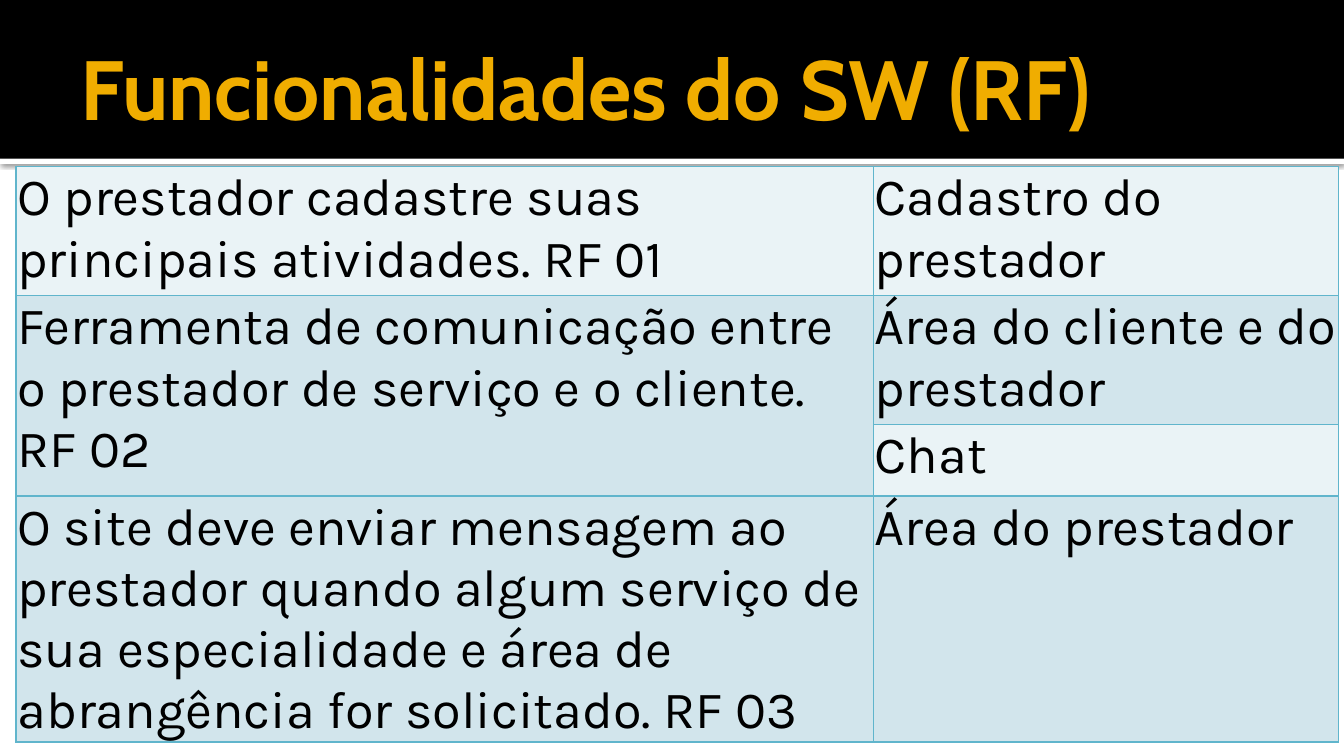
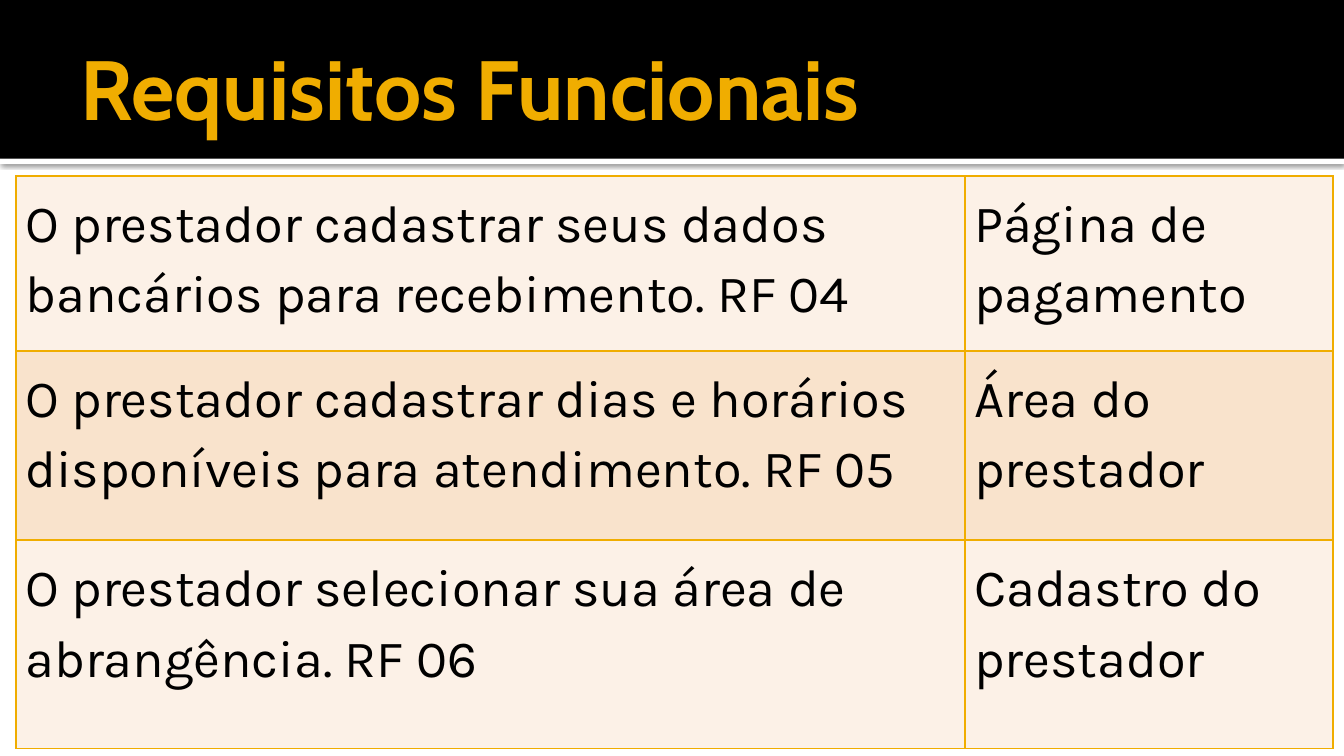
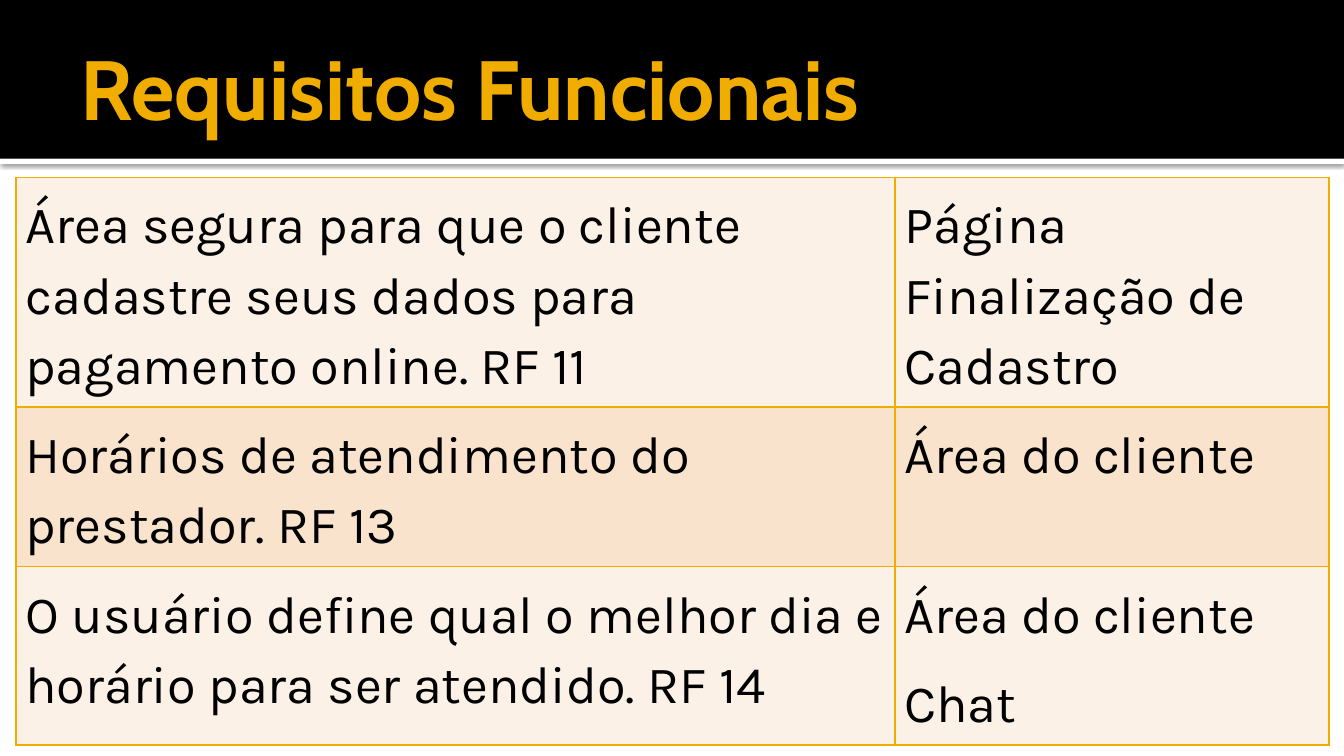
"""Builds three slides that list the functional requirements of a service site."""
from dataclasses import dataclass

from lxml import etree
from pptx import Presentation
from pptx.dml.color import RGBColor
from pptx.enum.shapes import MSO_SHAPE
from pptx.enum.text import MSO_ANCHOR, MSO_AUTO_SIZE, PP_ALIGN
from pptx.oxml.ns import qn
from pptx.util import Inches, Pt

RECTANGLE = MSO_SHAPE.RECTANGLE
MIDDLE, TOP = MSO_ANCHOR.MIDDLE, MSO_ANCHOR.TOP
LEFT = PP_ALIGN.LEFT
NO_AUTOFIT = MSO_AUTO_SIZE.NONE

TITLE_FONT, BODY_FONT = "Cabin", "Karla"
BLACK, WHITE, AMBER = "000000", "FFFFFF", "F0AD00"
TITLE_ONLY_LAYOUT = 5
SLIDE_WIDTH = 10
SLIDE_HEIGHT = SLIDE_WIDTH * 9 / 16
HEADER_HEIGHT, RULE_HEIGHT = 1.18, 0.04
TABLE_LEFT = 0.12


@dataclass(frozen=True)
class TableStyle:
    border: str
    fills: tuple[str, str]
    margins: tuple[float, float, float, float]
    line_spacing: float = 1.0
    space_after: float = 0


@dataclass(frozen=True)
class RequirementPage:
    title: str
    style: TableStyle
    top: float
    columns: tuple[float, ...]
    heights: tuple[float, ...]
    rows: tuple[tuple[str | None, str], ...]


BLUE_STYLE = TableStyle("60B5CC", ("EAF3F6", "D2E5EC"), (0.01, 0.01, 0.01, 0))
AMBER_STYLE = TableStyle(AMBER, ("FCF1E7", "F9E3CC"), (0.07,) * 4, 1.15, 10)

PAGES = (
    RequirementPage(
        "Funcionalidades do SW (RF)", BLUE_STYLE, 1.24,
        (6.38, 3.46), (0.96, 0.96, 0.53, 1.43),
        (
            ("O prestador cadastre suas principais atividades. RF 01",
             "Cadastro do prestador"),
            ("Ferramenta de comunicação entre o prestador de serviço e o cliente. RF 02",
             "Área do cliente e do prestador"),
            (None, "Chat"),
            ("O site deve enviar mensagem ao prestador quando algum serviço de sua "
             "especialidade e área de abrangência for solicitado. RF 03",
             "Área do prestador"),
        ),
    ),
    RequirementPage(
        "Requisitos Funcionais", AMBER_STYLE, 1.31,
        (7.06, 2.74), (1.3, 1.41, 1.55),
        (
            ("O prestador cadastrar seus dados bancários para recebimento. RF 04",
             "Página de pagamento"),
            ("O prestador cadastrar dias e horários disponíveis para atendimento. RF 05",
             "Área do prestador"),
            ("O prestador selecionar sua área de abrangência. RF 06",
             "Cadastro do prestador"),
        ),
    ),
    RequirementPage(
        "Requisitos Funcionais", AMBER_STYLE, 1.32,
        (6.54, 3.23), (1.71, 1.17, 1.3),
        (
            ("Área segura para que o cliente cadastre seus dados para pagamento online. RF 11",
             "Página Finalização de Cadastro"),
            ("Horários de atendimento do prestador. RF 13", "Área do cliente"),
            ("O usuário define qual o melhor dia e horário para ser atendido. RF 14",
             "Área do cliente\nChat"),
        ),
    ),
)


def color(value: str) -> RGBColor:
    return RGBColor.from_string(value)


def write_text(frame, text: str, *, font: str, size: float, fill: str, bold: bool = False,
               line_spacing: float = 1.0, space_after: float = 0) -> None:
    for index, line in enumerate(text.split("\n")):
        para = frame.add_paragraph() if index else frame.paragraphs[0]
        para.alignment = LEFT
        para.line_spacing = line_spacing
        para.space_after = Pt(space_after)
        span = para.add_run()
        span.text = line
        span.font.name = font
        span.font.size = Pt(size)
        span.font.bold = bold
        span.font.color.rgb = color(fill)


def add_color(parent, value: str):
    return etree.SubElement(parent, qn("a:srgbClr"), val=value)


def add_band(page, top: float, height: float, fill: str):
    band = page.shapes.add_shape(
        RECTANGLE, 0, Inches(top), Inches(SLIDE_WIDTH), Inches(height))
    band.shadow.inherit = False
    band.fill.solid()
    band.fill.fore_color.rgb = color(fill)
    band.line.fill.background()
    return band


def add_soft_shadow(shape) -> None:
    effects = shape.element.spPr.find(qn("a:effectLst"))
    shadow = etree.SubElement(
        effects, qn("a:outerShdw"), blurRad=str(Pt(2.5)), dist=str(Pt(0.8)),
        dir="5400000", algn="tl", rotWithShape="0")
    etree.SubElement(add_color(shadow, BLACK), qn("a:alpha"), val="60000")


def move_header_to_layout(page) -> None:
    rule = add_band(page, HEADER_HEIGHT, RULE_HEIGHT, WHITE)
    add_soft_shadow(rule)
    header = add_band(page, 0, HEADER_HEIGHT, BLACK)
    for position, band in enumerate((rule, header), start=2):
        page.slide_layout.shapes.element.insert(position, band.element)


def set_title(page, text: str) -> None:
    box = page.shapes.title
    box.left, box.top = Inches(0.5), Inches(0.13)
    box.width, box.height = Inches(9), Inches(1.03)
    frame = box.text_frame
    frame.auto_size = NO_AUTOFIT
    frame.vertical_anchor = MIDDLE
    frame.margin_left = Inches(0.1)
    frame.margin_top = frame.margin_right = frame.margin_bottom = Inches(0.05)
    write_text(frame, text, font=TITLE_FONT, size=45, fill=AMBER, bold=True)


def format_cell(cell, style: TableStyle, fill: str) -> None:
    properties = cell._tc.get_or_add_tcPr()
    for side in "LRTB":
        line = etree.SubElement(properties, qn(f"a:ln{side}"), w=str(Pt(1)))
        add_color(etree.SubElement(line, qn("a:solidFill")), style.border)
    cell.fill.solid()
    cell.fill.fore_color.rgb = color(fill)
    cell.vertical_anchor = TOP
    (cell.margin_left, cell.margin_top,
     cell.margin_right, cell.margin_bottom) = map(Inches, style.margins)


def add_requirements(page, content: RequirementPage) -> None:
    style = content.style
    table = page.shapes.add_table(
        len(content.rows), len(content.columns), Inches(TABLE_LEFT), Inches(content.top),
        Inches(sum(content.columns)), Inches(sum(content.heights))).table
    table.first_row = table.horz_banding = False
    for column, width in zip(table.columns, content.columns):
        column.width = Inches(width)
    for row_index, texts in enumerate(content.rows):
        table.rows[row_index].height = Inches(content.heights[row_index])
        for column_index, text in enumerate(texts):
            cell = table.cell(row_index, column_index)
            format_cell(cell, style, style.fills[row_index % 2])
            if text is None:
                table.cell(row_index - 1, column_index).merge(cell)
            else:
                write_text(cell.text_frame, text, font=BODY_FONT, size=28, fill=BLACK,
                           line_spacing=style.line_spacing, space_after=style.space_after)


def main() -> None:
    deck = Presentation()
    deck.slide_width, deck.slide_height = Inches(SLIDE_WIDTH), Inches(SLIDE_HEIGHT)
    layout = deck.slide_layouts[TITLE_ONLY_LAYOUT]
    for index, content in enumerate(PAGES):
        page = deck.slides.add_slide(layout)
        if index == 0:
            move_header_to_layout(page)
        set_title(page, content.title)
        add_requirements(page, content)
    deck.save("out.pptx")


if __name__ == "__main__":
    main()
